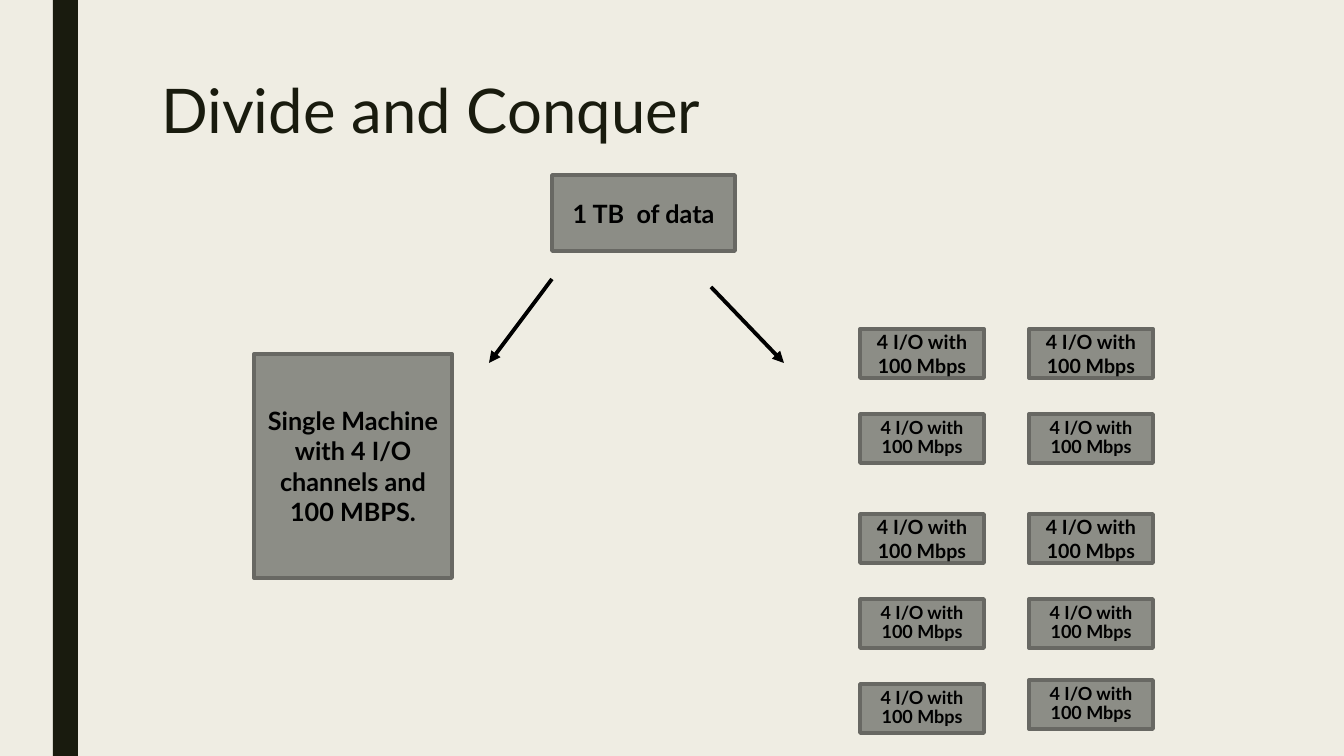
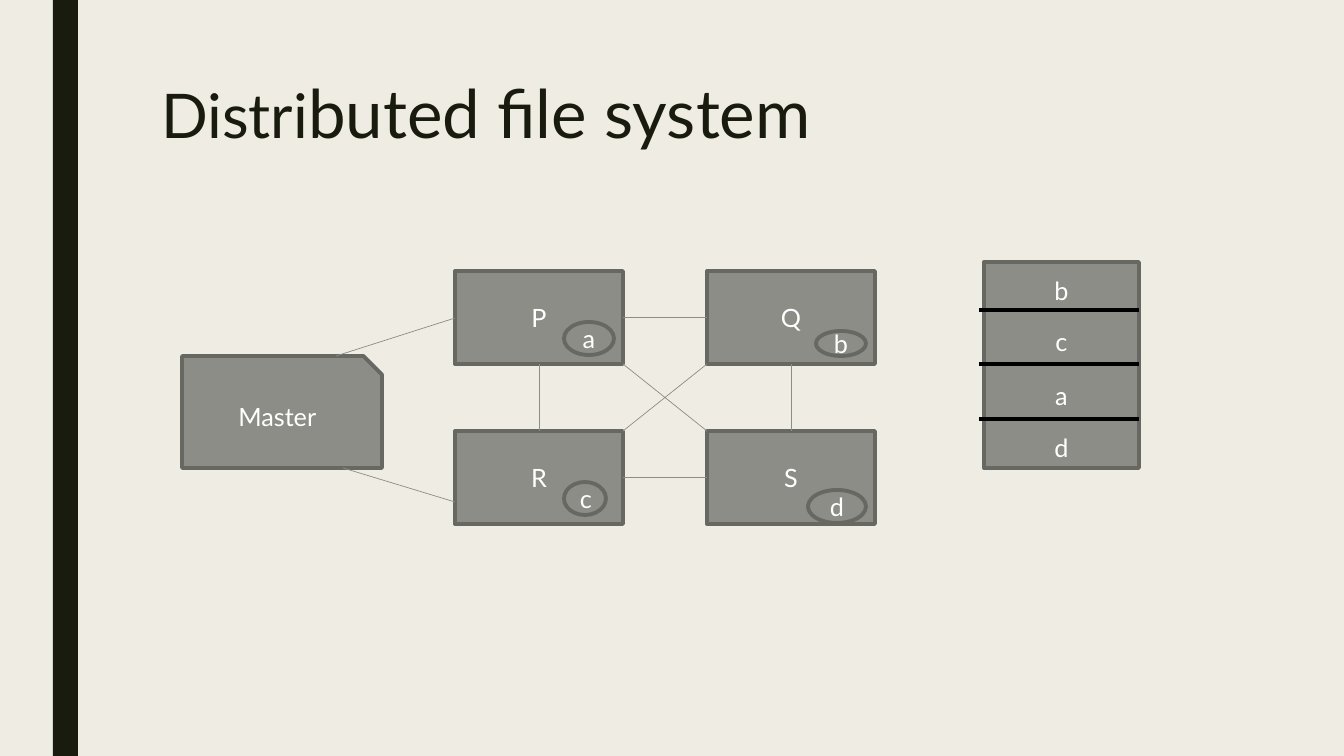
from lxml.etree import SubElement
from pptx import Presentation
from pptx.dml.color import RGBColor
from pptx.enum.shapes import MSO_CONNECTOR as LINK, MSO_SHAPE as SHAPE
from pptx.enum.text import MSO_ANCHOR as ANCHOR, PP_ALIGN as ALIGN
from pptx.oxml.ns import qn
from pptx.util import Emu, Pt

WIDTH, HEIGHT = 1344, 756
FONT = "Lato"
PAPER, INK, FILL, EDGE = "EFEDE3", "191B0E", "8C8D86", "686863"
BLACK, WHITE = "000000", "FFFFFF"
HEAVY, FINE = 2.75, 0.5
TOP, LEFT, BOTTOM, RIGHT = range(4)


def px(*lengths):
    """Turn pixels into a list of EMU lengths."""
    return [Emu(round(length * 914400 / 100.8)) for length in lengths]


def rgb(code):
    """Turn a hex string into a colour."""
    return RGBColor.from_string(code)


def write(paragraph, text, size, color, bold=False):
    """Add one run of text to a paragraph."""
    run = paragraph.add_run()
    run.text = text
    run.font.name = FONT
    run.font.size = Pt(size)
    run.font.bold = bold
    run.font.color.rgb = rgb(color)


def center(frame, text, size, color, bold=False, spacing=None):
    """Set one centred paragraph in the middle of a text frame."""
    frame.word_wrap = True
    frame.vertical_anchor = ANCHOR.MIDDLE
    paragraph = frame.paragraphs[0]
    paragraph.alignment = ALIGN.CENTER
    if spacing:
        paragraph.line_spacing = spacing
    write(paragraph, text, size, color, bold)


def add_block(slide, box, text="", size=18, color=WHITE, kind=SHAPE.RECTANGLE,
              bold=False, spacing=None):
    """Add a grey outlined shape with an optional centred label."""
    block = slide.shapes.add_shape(kind, *px(*box))
    block.shadow.inherit = False
    block.fill.solid()
    block.fill.fore_color.rgb = rgb(FILL)
    block.line.color.rgb = rgb(EDGE)
    block.line.width = Pt(HEAVY)
    if text:
        center(block.text_frame, text, size, color, bold, spacing)
    return block


def add_link(slide, start, end, color=FILL, weight=FINE, arrow=False):
    """Draw a straight line, with an arrowhead at its end if asked."""
    link = slide.shapes.add_connector(LINK.STRAIGHT, *px(*start, *end))
    link.line.color.rgb = rgb(color)
    link.line.width = Pt(weight)
    properties = link.element.spPr
    if arrow:
        SubElement(properties.find(qn("a:ln")), qn("a:tailEnd"), type="triangle")
    SubElement(properties, qn("a:effectLst"))
    return link


def add_titled_slide(prs, *parts):
    """Add a slide whose title is made of (text, size) parts."""
    slide = prs.slides.add_slide(prs.slide_layouts[5])
    title = slide.shapes.title
    title.left, title.top, title.width, title.height = px(151, 76, 1058, 88)
    title.text_frame.vertical_anchor = ANCHOR.TOP
    paragraph = title.text_frame.paragraphs[0]
    paragraph.alignment = ALIGN.LEFT
    paragraph.line_spacing = 0.89
    for text, size in parts:
        write(paragraph, text, size, INK)
    return slide


def style_master(prs, slide):
    """Give the master its background and its dark side band."""
    master = prs.slide_master
    master.background.fill.solid()
    master.background.fill.fore_color.rgb = rgb(PAPER)
    band = slide.shapes.add_shape(SHAPE.RECTANGLE, *px(53, 0, 25, HEIGHT))
    band.shadow.inherit = False
    band.fill.solid()
    band.fill.fore_color.rgb = rgb(INK)
    band.line.fill.background()
    master.element.cSld.spTree.insert(2, band.element)


def add_machine_grid(slide, left, top):
    """Place two columns of five small machines."""
    roomy, tight = (14, None), (12.9, 0.84)
    rows = [(0, roomy), (85, tight), (185, roomy), (270, tight), (355, tight)]
    for column in range(2):
        for row, (drop, (size, spacing)) in enumerate(rows):
            lift = 4 if (row, column) == (4, 1) else 0
            box = (left + 169 * column, top + drop - lift, 124, 49)
            add_block(slide, box, "4 I/O with 100 Mbps", size, BLACK,
                      bold=True, spacing=spacing)


def add_divide_slide(prs):
    """Compare one machine with ten machines sharing the data."""
    slide = add_titled_slide(prs, ("Divide and Conquer", 44))
    add_machine_grid(slide, 860, 329)
    for box, text in (
        ((254, 354, 198, 224), "Single Machine with 4 I/O channels and 100 MBPS."),
        ((552, 175, 183, 76), "1 TB  of data"),
    ):
        add_block(slide, box, text, color=BLACK, bold=True)
    for start, end in (((552, 279), (489, 363)), ((711, 287), (784, 363))):
        add_link(slide, start, end, BLACK, HEAVY, arrow=True)
    return slide


def add_cluster(slide, left, top):
    """Place four linked nodes, each holding one piece of the file."""
    width, height, step_x, step_y = 168, 93, 252, 160
    inner, outer = left + width, left + step_x
    upper, lower = top + height, top + step_y
    corners = {"P": (left, top), "Q": (outer, top),
               "R": (left, lower), "S": (outer, lower)}
    nodes = {name: add_block(slide, (*corner, width, height), name)
             for name, corner in corners.items()}
    for first, side, second, facing in (
        ("P", RIGHT, "Q", LEFT), ("Q", BOTTOM, "S", TOP),
        ("S", LEFT, "R", RIGHT), ("R", TOP, "P", BOTTOM),
    ):
        link = add_link(slide, corners[first], corners[second])
        link.begin_connect(nodes[first], side)
        link.end_connect(nodes[second], facing)
    add_link(slide, (inner, upper), (outer, lower))
    add_link(slide, (inner, lower), (outer, upper))
    for piece, name, (dx, dy, *size) in (
        ("a", "P", (109, 51, 50, 33)), ("b", "Q", (109, 60, 50, 25)),
        ("c", "R", (109, 51, 42, 33)), ("d", "S", (101, 59, 58, 33)),
    ):
        x, y = corners[name]
        add_block(slide, (x + dx, y + dy, *size), piece, kind=SHAPE.OVAL)


def add_file_stack(slide, left, top, width, height):
    """Place the file as a block cut into four labelled pieces."""
    add_block(slide, (left, top, width, height))
    edges = [0, 48, 102, 157, height]
    for cut in edges[1:-1]:
        add_link(slide, (left - 5, top + cut), (left + width, top + cut),
                 BLACK, HEAVY)
    for piece, start, end in zip("bcad", edges, edges[1:]):
        label = slide.shapes.add_textbox(
            *px(left, top + start + 4, width, end - start))
        center(label.text_frame, piece, 18, WHITE)


def add_master_node(slide, left, top):
    """Place the master with its two links to the cluster."""
    add_block(slide, (left, top, 200, 112), "Master",
              kind=SHAPE.SNIP_1_RECTANGLE)
    add_link(slide, (left + 154, top), (left + 273, top - 38))
    add_link(slide, (left + 161, top + 112), (left + 273, top + 146))


def add_file_system_slide(prs):
    """Show a master, its nodes and the file spread over them."""
    slide = add_titled_slide(prs, ("Distri", 44), ("buted file system", 48))
    add_cluster(slide, 455, 271)
    add_file_stack(slide, 984, 262, 155, 206)
    add_master_node(slide, 182, 356)


def main():
    """Build the presentation and save it."""
    prs = Presentation()
    prs.slide_width, prs.slide_height = px(WIDTH, HEIGHT)
    style_master(prs, add_divide_slide(prs))
    add_file_system_slide(prs)
    prs.save("out.pptx")


if __name__ == "__main__":
    main()
